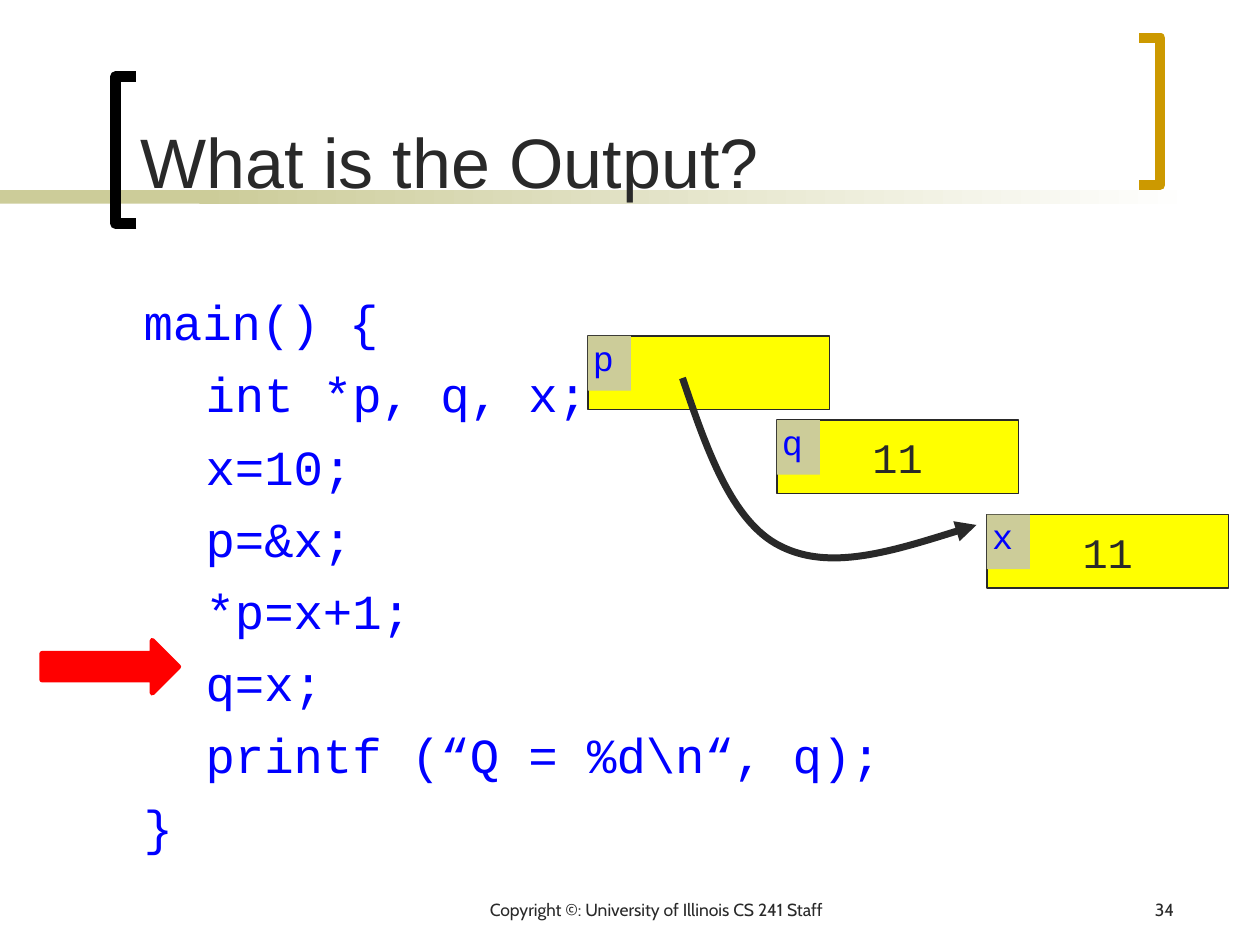
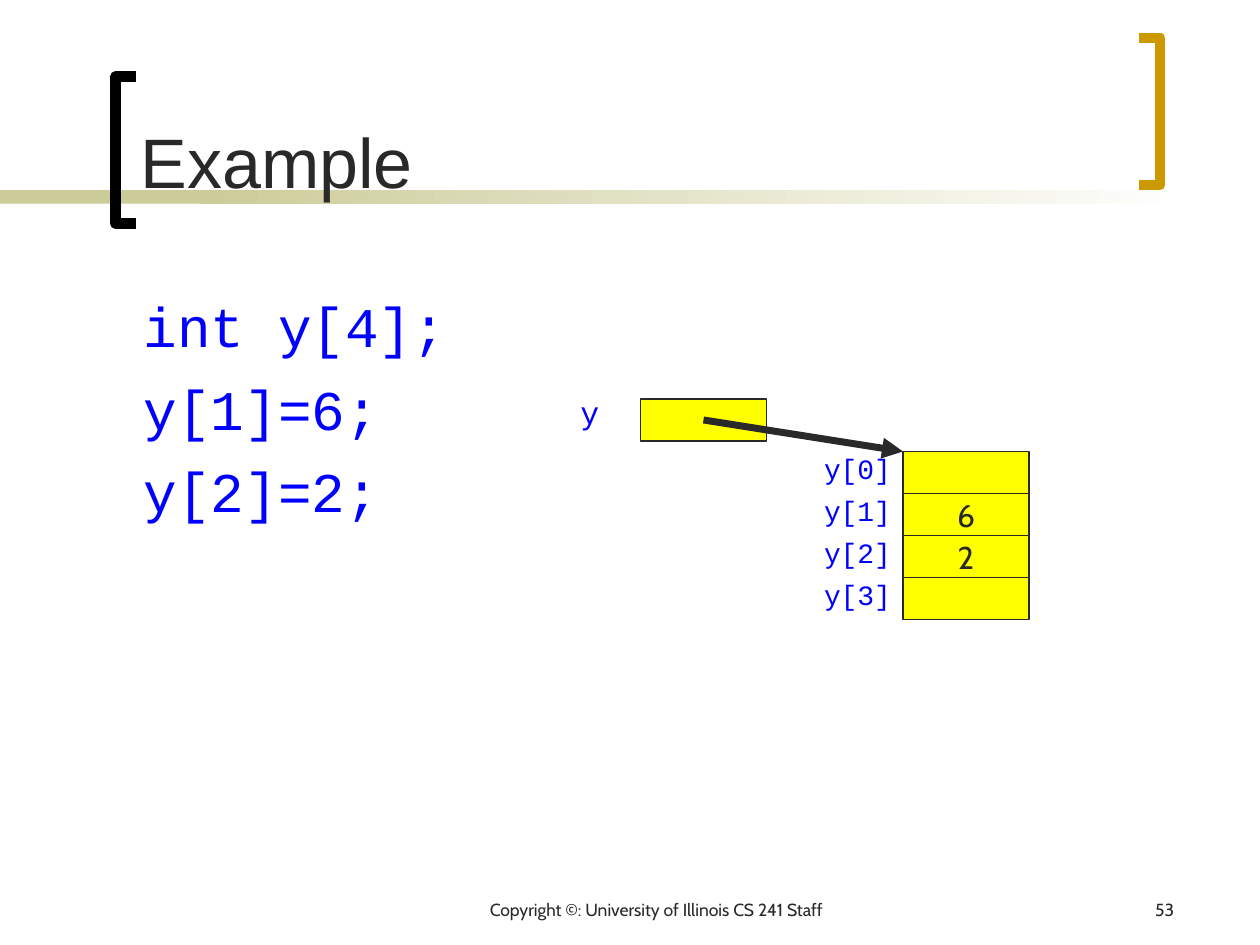
import pptx
import pptx.dml.color
import pptx.enum.dml
import pptx.enum.shapes
import pptx.enum.text
import pptx.oxml
import pptx.oxml.ns
import pptx.util

COLORS = {
    "ink": "292929", "code": "0000FF", "cell": "FFFF00", "khaki": "CCCC99",
    "white": "FFFFFF", "black": "000000", "gold": "CC9900", "red": "FF0000",
}
TITLE_FONT, CODE_FONT, TEXT_FONT = "Arial", "Courier New", "Cabin"
FOOTER = "Copyright ©: University of Illinois CS 241 Staff"

# All places and sizes are in columns and rows of a grid of 1/12 inch.
COLUMNS, ROWS = 120, 90
BRACKETS = [
    ("black", [(13, 21.3), (11, 21.3), (11, 7.3), (13, 7.3)]),
    ("gold", [(108.5, 3.6), (110.5, 3.6), (110.5, 17.6), (108.5, 17.6)]),
]
CODE_INDENT = 5.9

# Code lines are (indent level, text).
OUTPUT = {
    "title": "What is the Output?", "number": "34", "code_size": 28,
    "code": [
        (0, "main() {"),
        (1, "int *p, q, x;"),
        (1, "x=10;"),
        (1, "p=&x;"),
        (1, "*p=x+1;"),
        (1, "q=x;"),
        (1, "printf (“Q = %d\\n“, q);"),
        (0, "}"),
    ],
    "variables": [("p", "", 56, 32), ("q", "11", 74, 40), ("x", "11", 94, 49)],
    "pointer": [(65, 36), (67.3, 42.8), (69.7, 49.7), (74.3, 52),
                (79, 54.4), (86, 52.2), (93, 50)],
    "current_line": (4, 61, 13, 5),
}
EXAMPLE = {
    "title": "Example", "number": "53", "code_size": 32,
    "code": [(0, "int y[4];"), (0, "y[1]=6;"), (0, "y[2]=2;")],
    "array": ["", "6", "2", ""],
    "array_at": (86, 43),
    "pointer_at": (61, 38),
}
CELL_WIDTH, CELL_HEIGHT = 12, 4

SHAPES = pptx.enum.shapes.MSO_SHAPE
ALIGN = pptx.enum.text.PP_ALIGN
ANCHOR = pptx.enum.text.MSO_ANCHOR


def grid(*counts):
    """Turn grid counts into lengths."""
    return [pptx.util.Inches(count / 12) for count in counts]


def rgb(color):
    return pptx.dml.color.RGBColor.from_string(COLORS[color])


def set_line(shape, color, width):
    shape.line.color.rgb = rgb(color)
    shape.line.width = pptx.util.Pt(width)


def add_arrowhead(shape):
    outline = shape.element.spPr.find(pptx.oxml.ns.qn("a:ln"))
    outline.append(pptx.oxml.parse_xml(
        f'<a:tailEnd {pptx.oxml.ns.nsdecls("a")} type="triangle"/>'))


def add_block(slide, box, fill, line=None, width=0.75, kind=SHAPES.RECTANGLE):
    shape = slide.shapes.add_shape(kind, *grid(*box))
    shape.shadow.inherit = False
    shape.fill.solid()
    shape.fill.fore_color.rgb = rgb(fill)
    if line:
        set_line(shape, line, width)
    else:
        shape.line.fill.background()
    return shape


def add_outline(slide, points, color, width):
    start, *others = [grid(*point) for point in points]
    builder = slide.shapes.build_freeform(*start)
    builder.add_line_segments(others, close=False)
    shape = builder.convert_to_shape()
    shape.shadow.inherit = False
    shape.fill.background()
    set_line(shape, color, width)
    return shape


def curve(shape):
    """Make each three line segments of an outline one Bezier segment."""
    qn = pptx.oxml.ns.qn
    segments = list(shape.element.iter(qn("a:lnTo")))
    for index in range(0, len(segments), 3):
        bezier = segments[index]
        for segment in segments[index + 1:index + 3]:
            bezier.append(segment[0])
            segment.getparent().remove(segment)
        bezier.tag = qn("a:cubicBezTo")


def write(shape, lines, font, size, color, insets=(0.08, 0, 0.04, 0),
          align=ALIGN.LEFT, anchor=ANCHOR.TOP, gap=0):
    """Fill a shape with (indent level, text) lines; insets are in inches."""
    frame = shape.text_frame
    frame.word_wrap = True
    frame.vertical_anchor = anchor
    (frame.margin_left, frame.margin_top, frame.margin_right,
     frame.margin_bottom) = map(pptx.util.Inches, insets)
    for index, (level, text) in enumerate(lines):
        paragraph = frame.add_paragraph() if index else frame.paragraphs[0]
        paragraph.text = text
        paragraph.alignment = align
        if level:
            margin, = grid(level * CODE_INDENT)
            paragraph._p.get_or_add_pPr().set("marL", str(margin))
        if index and gap:
            paragraph.space_before = pptx.util.Pt(gap)
        paragraph.font.name = font
        paragraph.font.size = pptx.util.Pt(size)
        paragraph.font.color.rgb = rgb(color)


def add_text(slide, box, lines, font, size, color, **layout):
    write(slide.shapes.add_textbox(*grid(*box)), lines, font, size, color, **layout)


def add_cell(slide, box, value, font, size):
    cell = add_block(slide, box, "cell", "ink")
    if value:
        write(cell, [(0, value)], font, size, "ink", insets=(0, 0, 0, 0),
              align=ALIGN.CENTER, anchor=ANCHOR.MIDDLE)


def add_base_slide(presentation, content):
    """Add a slide with band, brackets, title, code and footer."""
    slide = presentation.slides.add_slide(presentation.slide_layouts[6])
    add_block(slide, (0, 18.1, 28, 1.3), "khaki")
    fade = add_block(slide, (19, 18.1, 95, 1.3), "khaki")
    fade.fill.gradient()
    fade.fill.gradient_angle = 0
    for stop, color, position in zip(fade.fill.gradient_stops, ("khaki", "white"), (0, 1)):
        stop.color.rgb = rgb(color)
        stop.position = position
    for color, points in BRACKETS:
        add_outline(slide, points, color, 6)
    add_text(slide, (12.2, 1.3, 94, 18.6), [(0, content["title"])], TITLE_FONT, 40, "ink",
             insets=(0.1, 0.05, 0.14, 0.05), anchor=ANCHOR.BOTTOM)
    size = content["code_size"]
    add_text(slide, (12.5, 26, 100.5, 54), content["code"], CODE_FONT, size, "code",
             insets=(0.1, 0.15, 0.14, 0.05), gap=round(size * 0.27, 1))
    for box, text, align in [((37, 85, 51, 3), FOOTER, ALIGN.CENTER),
                             ((88, 85, 25, 3), content["number"], ALIGN.RIGHT)]:
        add_text(slide, box, [(0, text)], TEXT_FONT, 10, "ink",
                 insets=(0.1, 0.05, 0.1, 0.05), align=align)
    return slide


def add_output_slide(presentation):
    slide = add_base_slide(presentation, OUTPUT)
    for name, value, left, top in OUTPUT["variables"]:
        add_cell(slide, (left, top, 23, 7), value, CODE_FONT, 24)
        tag = add_block(slide, (left, top, 4.1, 5.2), "khaki")
        write(tag, [(0, name)], CODE_FONT, 20, "code", insets=(0.04, 0, 0.04, 0))
    pointer = add_outline(slide, OUTPUT["pointer"], "ink", 4)
    curve(pointer)
    add_arrowhead(pointer)
    add_block(slide, OUTPUT["current_line"], "red", "red", 3, SHAPES.RIGHT_ARROW)


def add_example_slide(presentation):
    slide = add_base_slide(presentation, EXAMPLE)
    left, top = EXAMPLE["array_at"]
    for index, value in enumerate(EXAMPLE["array"]):
        row = top + index * CELL_HEIGHT
        add_cell(slide, (left, row, CELL_WIDTH, CELL_HEIGHT), value, TEXT_FONT, 18)
        add_text(slide, (left - 8, row, 8.4, 4.3), [(0, f"y[{index}]")],
                 CODE_FONT, 16, "code", insets=(0.04, 0, 0.04, 0))
    pointer_left, pointer_top = EXAMPLE["pointer_at"]
    add_cell(slide, (pointer_left, pointer_top, CELL_WIDTH, CELL_HEIGHT), "", TEXT_FONT, 18)
    add_text(slide, (pointer_left - 6.2, pointer_top - 0.6, 3.8, 4.7), [(0, "y")],
             CODE_FONT, 18, "code", insets=(0.04, 0, 0.04, 0))
    arrow = slide.shapes.add_connector(
        pptx.enum.shapes.MSO_CONNECTOR.STRAIGHT,
        *grid(pointer_left + CELL_WIDTH / 2, pointer_top + CELL_HEIGHT / 2, left, top))
    set_line(arrow, "ink", 4)
    add_arrowhead(arrow)
    arrow.element.spPr.append(pptx.oxml.parse_xml(
        f'<a:effectLst {pptx.oxml.ns.nsdecls("a")}/>'))


def main():
    presentation = pptx.Presentation()
    presentation.slide_width, presentation.slide_height = grid(COLUMNS, ROWS)
    add_output_slide(presentation)
    add_example_slide(presentation)
    presentation.save("out.pptx")


if __name__ == "__main__":
    main()
